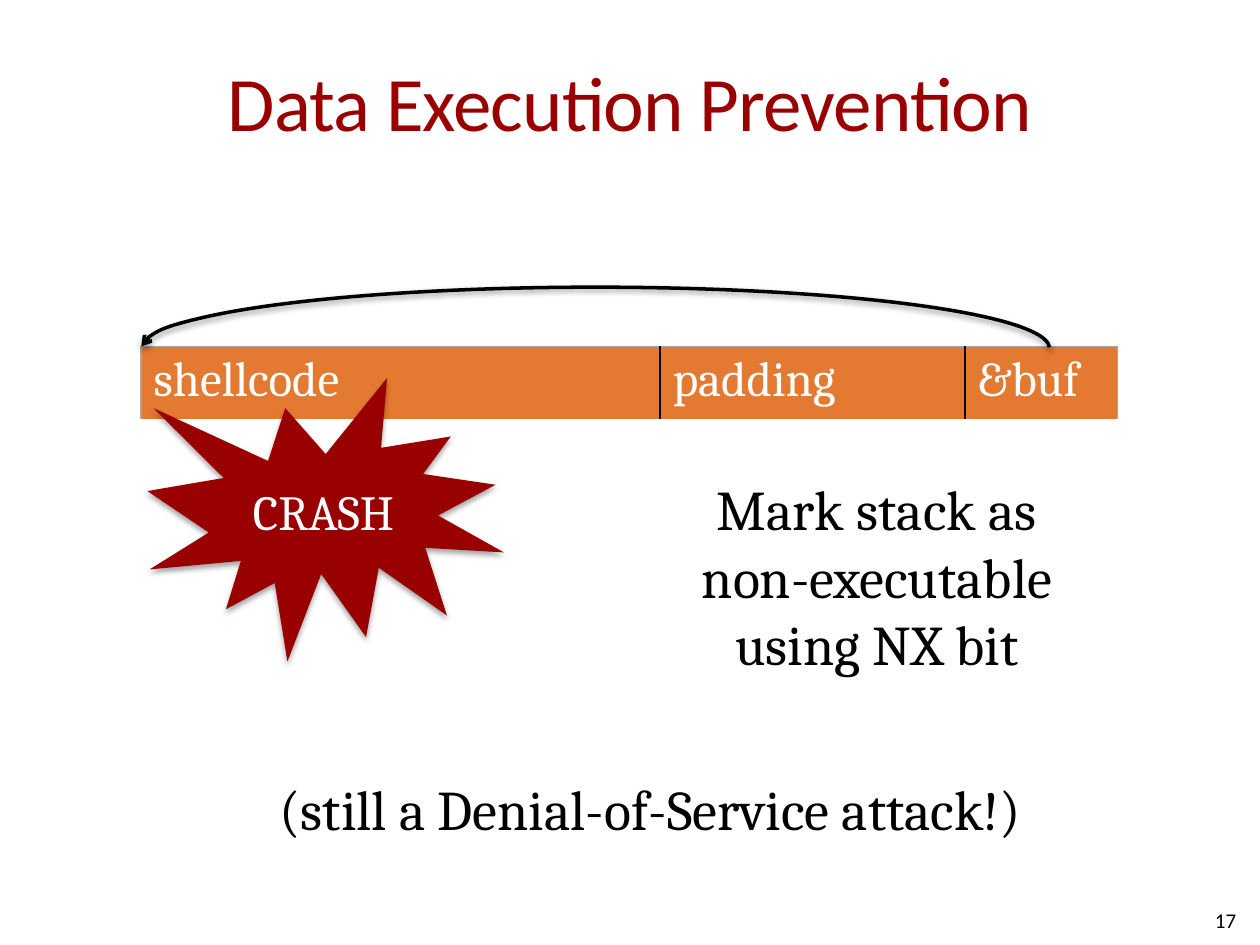
from pptx import Presentation
from pptx import util as u
from pptx.dml.color import RGBColor
from pptx.enum import shapes, text
from pptx.oxml import parse_xml
from pptx.oxml.ns import nsdecls

RED = RGBColor(0x99, 0x00, 0x00)
ORANGE = RGBColor(0xE4, 0x79, 0x32)
BLACK = RGBColor(0x00, 0x00, 0x00)
GRAY = RGBColor(0xA6, 0xA6, 0xA6)
WHITE = RGBColor(0xFF, 0xFF, 0xFF)
LEFT, CENTER, RIGHT = text.PP_ALIGN.LEFT, text.PP_ALIGN.CENTER, text.PP_ALIGN.RIGHT
TOP, MIDDLE = text.MSO_ANCHOR.TOP, text.MSO_ANCHOR.MIDDLE


class SlideBuilder:
    heading_font = "Calibri"
    body_font = "Cambria"

    def __init__(self, prs):
        self.s = prs.slides.add_slide(prs.slide_layouts[6])

    def set_text(self, tf, words, size, color, align=LEFT, font=None):
        tf.text = words
        for p in tf.paragraphs:
            p.alignment = align
            for r in p.runs:
                r.font.name = font or self.body_font
                r.font.size = u.Pt(size)
                r.font.bold = False
                r.font.color.rgb = color

    def text_box(self, box, words, size, color=BLACK, align=CENTER, anchor=TOP, font=None):
        sp = self.s.shapes.add_textbox(*map(u.Inches, box))
        tf = sp.text_frame
        tf.word_wrap = True
        tf.vertical_anchor = anchor
        self.set_text(tf, words, size, color, align, font)
        return sp

    def title(self, box, words):
        sp = self.text_box(box, words, 44, RED, anchor=MIDDLE, font=self.heading_font)
        tf = sp.text_frame
        tf.margin_left = tf.margin_right = 0
        tf.paragraphs[0].runs[0].font._element.set("spc", "-50")

    def shadow(self, sp, opacity, distance):
        """Give the shape a soft shadow that falls straight down."""
        sp.shadow.inherit = False
        effects = sp._element.spPr.find("{*}effectLst")
        effects.append(parse_xml(
            f'<a:outerShdw {nsdecls("a")} blurRad="{u.Pt(3.1)}" dist="{u.Pt(distance)}" '
            f'dir="5400000" rotWithShape="0"><a:srgbClr val="{BLACK}">'
            f'<a:alpha val="{opacity * 1000}"/></a:srgbClr></a:outerShdw>'))

    def border(self, cell, edges):
        """Draw cell edges given as (side, color, points), in L, R, T, B order."""
        tc_pr = cell._tc.get_or_add_tcPr()
        for i, (side, color, width) in enumerate(edges):
            tc_pr.insert(i, parse_xml(
                f'<a:ln{side} {nsdecls("a")} w="{u.Pt(width)}"><a:solidFill>'
                f'<a:srgbClr val="{color}"/></a:solidFill></a:ln{side}>'))

    def memory_table(self, left, top, height, fields):
        """Draw one row of (label, width) fields."""
        width = sum(w for _, w in fields)
        frame = self.s.shapes.add_table(
            1, len(fields), *map(u.Inches, (left, top, width, height)))
        table = frame.table
        table.first_row = table.horz_banding = False
        last = len(fields) - 1
        for i, (label, w) in enumerate(fields):
            table.columns[i].width = u.Inches(w)
            cell = table.cell(0, i)
            cell.fill.solid()
            cell.fill.fore_color.rgb = ORANGE
            self.set_text(cell.text_frame, label, 28, WHITE)
            self.border(cell, [
                ("L", BLACK if i else GRAY, 1),
                ("R", BLACK if i < last else GRAY, 1),
                ("T", GRAY, 1),
                ("B", ORANGE, 1),
            ])

    def jump_arc(self, box):
        """Draw the upper half of an ellipse, with an arrowhead at its left end."""
        sp = self.s.shapes.add_shape(shapes.MSO_SHAPE.ARC, *map(u.Inches, box))
        sp.adjustments[0] = 0.08
        sp.adjustments[1] = 107.85
        sp._element.spPr.find("{*}xfrm").set("flipV", "1")
        sp.fill.background()
        sp.line.color.rgb = BLACK
        sp.line.width = u.Pt(2)
        sp.line._get_or_add_ln().append(
            parse_xml(f'<a:tailEnd {nsdecls("a")} type="arrow"/>'))
        self.shadow(sp, 38, 1.6)

    def burst(self, box, words):
        sp = self.s.shapes.add_shape(shapes.MSO_SHAPE.EXPLOSION1, *map(u.Inches, box))
        sp.fill.solid()
        sp.fill.fore_color.rgb = RED
        sp.line.fill.background()
        self.shadow(sp, 35, 1.8)
        sp.text_frame.vertical_anchor = MIDDLE
        self.set_text(sp.text_frame, words, 28, WHITE, CENTER)


def main():
    prs = Presentation()
    prs.slide_width, prs.slide_height = u.Inches(10), u.Inches(7.5)
    b = SlideBuilder(prs)
    b.title((0.5, 0.17, 9, 1.25), "Data Execution Prevention")
    b.text_box((4.17, 3.72, 5.58, 2.78), "Mark stack as\vnon-executable\vusing NX bit", 32)
    b.memory_table(1.12, 2.75, 0.57, [("shellcode", 4.12), ("padding", 2.42), ("&buf", 1.21)])
    b.jump_arc((1.12, 2.28, 7.21, 0.97))
    b.text_box((1.8, 6.1, 6.41, 0.64), "(still a Denial-of-Service attack!)", 32, align=RIGHT)
    b.burst((1.17, 3, 2.83, 2.25), "CRASH")
    b.text_box((7.58, 7.1, 2.33, 0.4), "17", 12, align=RIGHT, anchor=MIDDLE, font=b.heading_font)
    prs.save("out.pptx")


if __name__ == "__main__":
    main()
